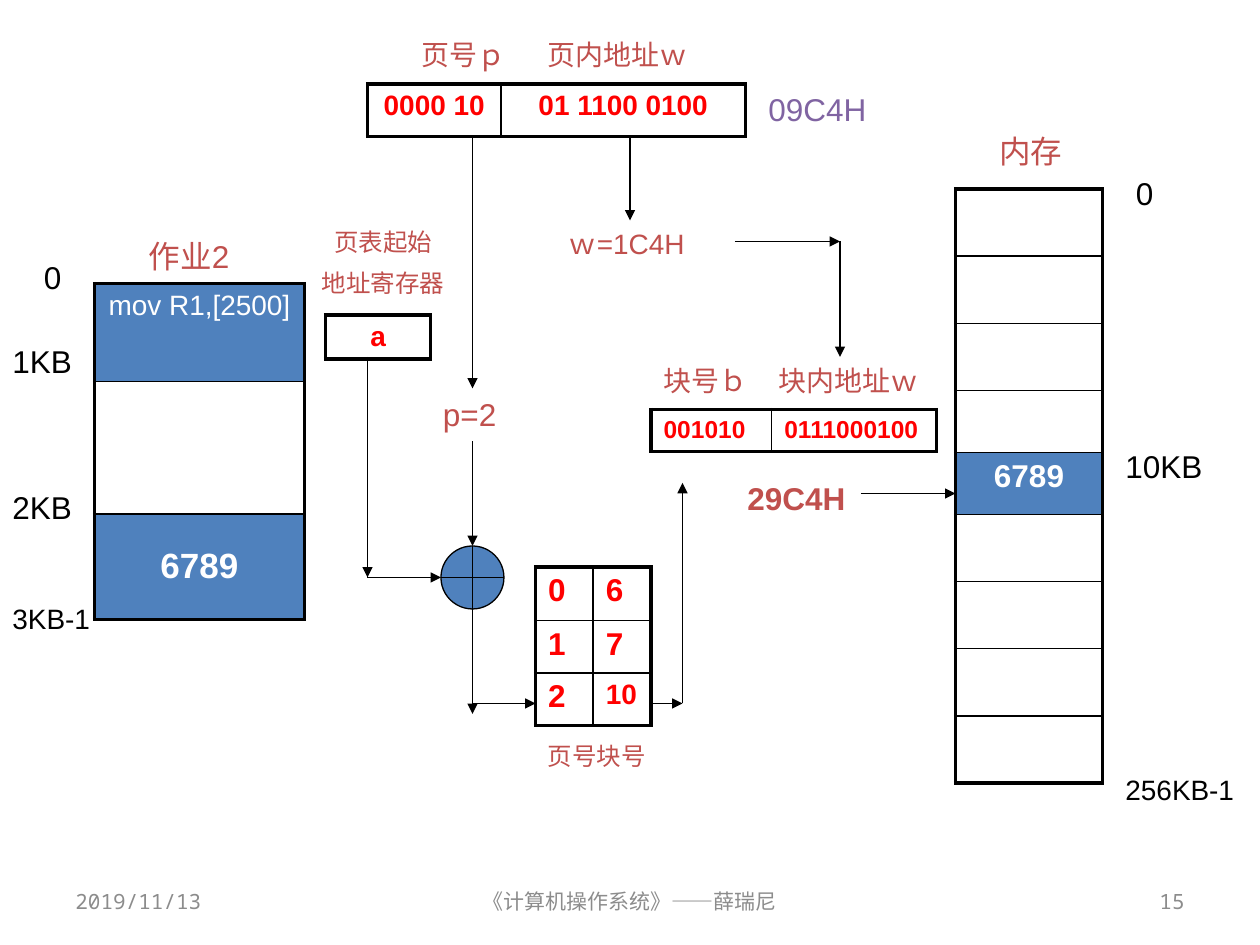
"""Build the slide on paged address translation, on a grid of 1/12 inch."""
import lxml.etree
import pptx
import pptx.dml.color
import pptx.enum.shapes
import pptx.enum.text
import pptx.oxml
import pptx.oxml.ns
import pptx.util

RGB = pptx.dml.color.RGBColor
BLACK = RGB(0x00, 0x00, 0x00)
WHITE = RGB(0xFF, 0xFF, 0xFF)
RED = RGB(0xFF, 0x00, 0x00)
BLUE = RGB(0x4F, 0x81, 0xBD)
BRICK = RGB(0xC0, 0x50, 0x4D)
PURPLE = RGB(0x80, 0x64, 0xA2)
GREY = RGB(0x8C, 0x8C, 0x8C)
LEFT, CENTER, RIGHT = (pptx.enum.text.PP_ALIGN.LEFT, pptx.enum.text.PP_ALIGN.CENTER,
                       pptx.enum.text.PP_ALIGN.RIGHT)
TOP, MIDDLE = pptx.enum.text.MSO_ANCHOR.TOP, pptx.enum.text.MSO_ANCHOR.MIDDLE


def grid(n):
    return pptx.util.Inches(n / 12)


def write(tf, text, size=16, color=BRICK, bold=False, align=LEFT, font="Arial"):
    for i, line in enumerate(text.split("\n")):
        p = tf.paragraphs[0] if i == 0 else tf.add_paragraph()
        p.alignment = align
        if i:
            p.space_before = pptx.util.Pt(size / 2)
        r = p.add_run()
        r.text = line
        r.font.size, r.font.bold, r.font.name = pptx.util.Pt(size), bold, font
        r.font.color.rgb = color


def add_label(s, x, y, w, text, h=4.8, anchor=TOP, wrap=True, **fmt):
    tf = s.shapes.add_textbox(grid(x), grid(y), grid(w), grid(h)).text_frame
    tf.word_wrap, tf.vertical_anchor = wrap, anchor
    write(tf, text, **fmt)


def add_arrow(s, x1, y1, x2, y2):
    c = s.shapes.add_connector(pptx.enum.shapes.MSO_CONNECTOR.STRAIGHT,
                               grid(x1), grid(y1), grid(x2), grid(y2))
    c.line.color.rgb, c.line.width = BLACK, pptx.util.Pt(0.75)
    spPr = c.element.spPr
    tail = lxml.etree.SubElement(spPr.find(pptx.oxml.ns.qn("a:ln")), pptx.oxml.ns.qn("a:tailEnd"))
    tail.set("type", "triangle")
    lxml.etree.SubElement(spPr, pptx.oxml.ns.qn("a:effectLst"))


def set_borders(cell, **outer):
    tcPr = cell._tc.get_or_add_tcPr()
    for side in "LRTB":
        width = pptx.util.Pt(2.25 if outer[side] else 1)
        tcPr.append(pptx.oxml.parse_xml(
            f'<a:ln{side} {pptx.oxml.ns.nsdecls("a")} w="{width}"><a:solidFill>'
            f'<a:srgbClr val="{BLACK}"/></a:solidFill></a:ln{side}>'))


def add_grid_table(s, x, y, cols, rows, texts, filled=(), sizes=None, anchors=None, **fmt):
    """Add a table with a thick frame; filled rows are blue with white text."""
    sizes, anchors = sizes or {}, anchors or {}
    table = s.shapes.add_table(len(rows), len(cols), grid(x), grid(y),
                               grid(sum(cols)), grid(sum(rows))).table
    table.first_row = table.horz_banding = False
    for j, w in enumerate(cols):
        table.columns[j].width = grid(w)
    for i, h in enumerate(rows):
        table.rows[i].height = grid(h)
        for j in range(len(cols)):
            cell = table.cell(i, j)
            set_borders(cell, L=j == 0, R=j == len(cols) - 1, T=i == 0, B=i == len(rows) - 1)
            cell.vertical_anchor = anchors.get(i, TOP)
            if i in filled:
                cell.fill.solid()
                cell.fill.fore_color.rgb = BLUE
            else:
                cell.fill.background()
            if (i, j) in texts:
                look = {"bold": True, "color": WHITE if i in filled else RED, **fmt}
                if (i, j) in sizes:
                    look["size"] = sizes[i, j]
                if (i, j) == (0, 0) and i in filled:
                    look["bold"] = False
                write(cell.text_frame, texts[i, j], **look)


def add_adder(s, x, y, size):
    sp = s.shapes.add_shape(pptx.enum.shapes.MSO_SHAPE.FLOWCHART_OR,
                            grid(x), grid(y), grid(size), grid(size))
    sp.shadow.inherit = False
    sp.fill.solid()
    sp.fill.fore_color.rgb = BLUE
    sp.line.color.rgb, sp.line.width = BLACK, pptx.util.Pt(0.75)


def add_tables(s):
    add_grid_table(s, 35, 8, [12.7, 23.3], [5],
                   {(0, 0): "0000 10", (0, 1): "01 1100 0100"}, align=CENTER)
    add_grid_table(s, 9, 27, [20], [9.35, 12.6, 10.05],
                   {(0, 0): "mov R1,[2500]", (2, 0): "6789"}, filled=(0, 2),
                   sizes={(2, 0): 20}, anchors={2: MIDDLE}, align=CENTER)
    add_grid_table(s, 31, 30, [10], [4.2], {(0, 0): "a"}, align=CENTER)
    pages = [("0", "6"), ("1", "7"), ("2", "10")]
    add_grid_table(s, 51, 54, [5.5, 5.5], [5.1, 5, 5],
                   {(i, j): t for i, row in enumerate(pages) for j, t in enumerate(row)},
                   sizes={(2, 1): 16}, size=18)
    add_grid_table(s, 91, 18, [14], [6.4] * 3 + [5.9] * 2 + [6.4] * 4,
                   {(4, 0): "6789"}, filled=(4,), size=18, align=CENTER)
    add_grid_table(s, 62, 39, [11.5, 15.7], [4],
                   {(0, 0): "001010", (0, 1): "0111000100"}, size=14)


def add_labels(s):
    add_label(s, 29, 21, 15, "页表起始\n地址寄存器", h=8.3, size=14, align=CENTER)
    for x, y, w, text in [(39, 3, 11, "页号ｐ"), (51, 3, 20, "页内地址ｗ"),
                          (62, 34, 13, "块号ｂ"), (73, 34, 17, "块内地址ｗ"),
                          (53, 21, 15.5, "ｗ=1C4H")]:
        add_label(s, x, y, w, text)
    add_label(s, 51, 70, 20, "页号块号", size=14)
    for x, y, w, text in [(94, 12, 10, "内存"), (41, 37, 9, "p=2"), (13, 22, 12, "作业2")]:
        add_label(s, x, y, w, text, size=18)
    add_label(s, 70, 45, 12, "29C4H", size=18, bold=True)
    add_label(s, 72, 8, 13, "09C4H", size=18, color=PURPLE)
    for x, y, w, text, size in [(3, 24, 5, "0", 18), (0, 32, 10, "1KB", 18),
                                (0, 45.9, 11, "2KB", 18), (0, 56.7, 10, "3KB-1", 16),
                                (107, 16, 4, "0", 18), (106, 42, 11, "10KB", 18),
                                (106, 73, 14, "256KB-1", 16)]:
        add_label(s, x, y, w, text, size=size, color=BLACK)
    for x, w, text, align in [(6, 28, "2019/11/13", LEFT),
                              (41, 38, "《计算机操作系统》——薛瑞尼", CENTER),
                              (86, 28, "15", RIGHT)]:
        add_label(s, x, 83.4, w, text, anchor=MIDDLE, size=12, color=GREY,
                  align=align, font="Noto Sans Mono")


def main():
    prs = pptx.Presentation()
    prs.slide_width, prs.slide_height = grid(120), grid(90)
    s = prs.slides.add_slide(prs.slide_layouts[6])
    add_tables(s)
    add_labels(s)
    add_adder(s, 42, 52, 6)
    for ends in [(60, 13, 60, 21), (70, 23, 80, 23), (80, 23, 80, 34), (62, 67, 65, 67),
                 (65, 67, 65, 46), (45, 67, 51, 67), (45, 58, 45, 68), (45, 13, 45, 37),
                 (45, 42, 45, 52), (35, 34, 35, 55), (35, 55, 42, 55), (82, 47, 91, 47)]:
        add_arrow(s, *ends)
    prs.save("out.pptx")


if __name__ == "__main__":
    main()
